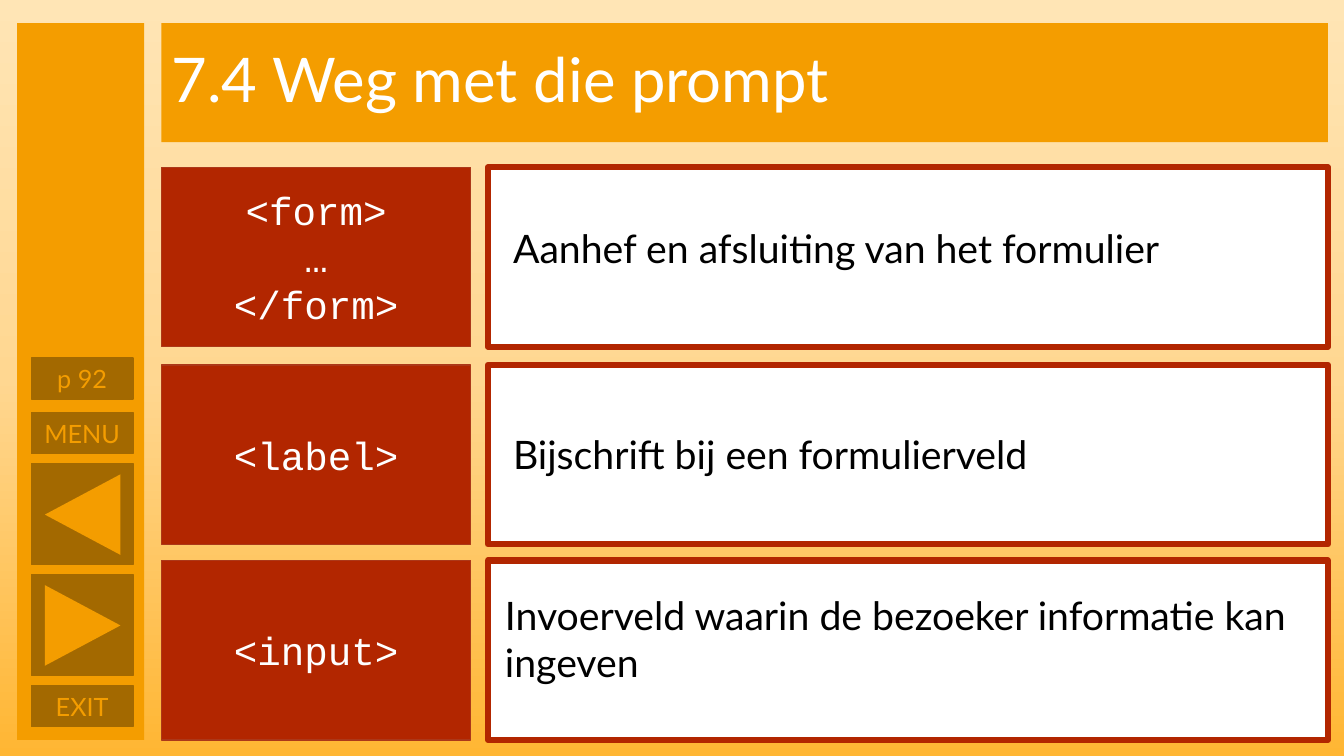
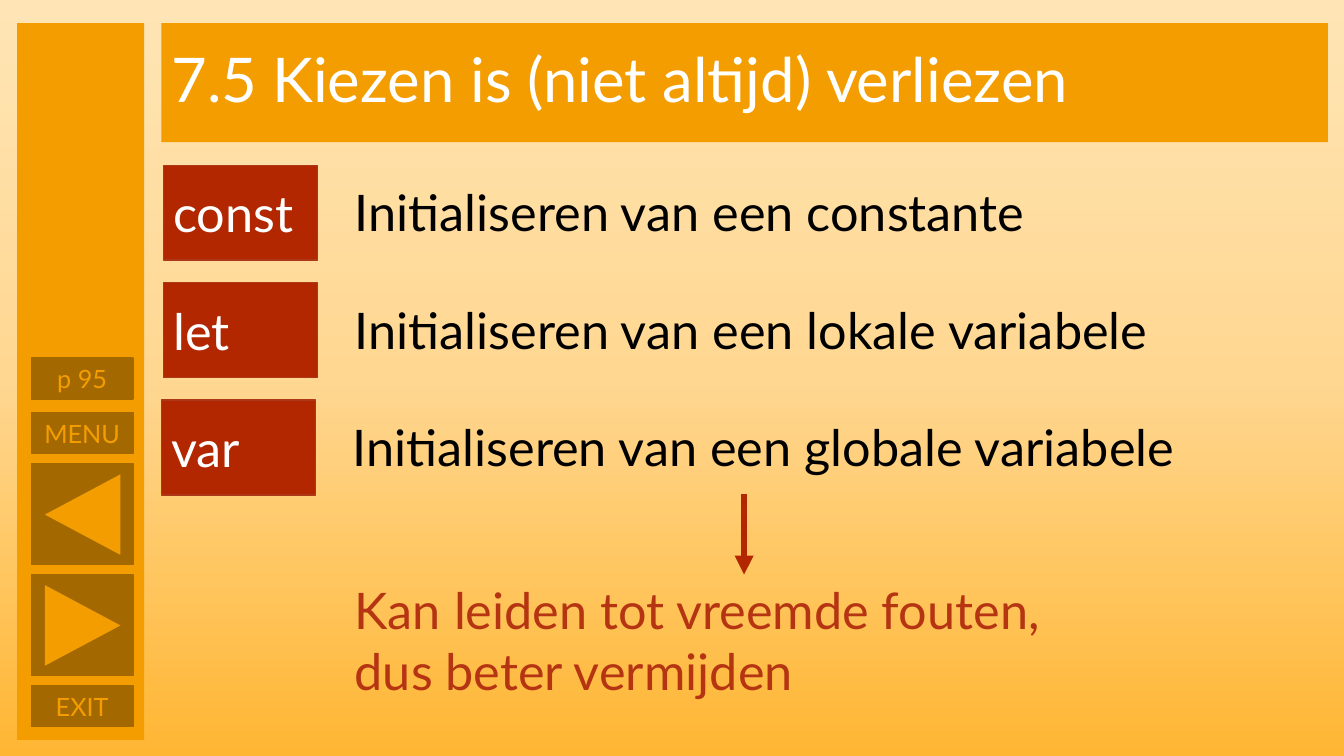
from copy import deepcopy
from pptx import Presentation
from pptx import util as u
from pptx.dml.color import RGBColor
from pptx.enum import shapes, text
from pptx.oxml.ns import qn
from lxml import etree

# Colours and fonts
ORANGE = RGBColor(0xF4, 0x9D, 0x00)
BROWN = RGBColor(0xA3, 0x69, 0x00)
RED = RGBColor(0xB2, 0x26, 0x00)
EDGE = RGBColor(0xAC, 0x38, 0x19)
WARN = RGBColor(0xB5, 0x35, 0x13)
WHITE = RGBColor(0xFF, 0xFF, 0xFF)
BLACK = RGBColor(0x00, 0x00, 0x00)
SKY = [(0, RGBColor(0xFF, 0xE5, 0xB5)), (0.5, RGBColor(0xFF, 0xD7, 0x91)),
       (1, RGBColor(0xFF, 0xB6, 0x33))]
SANS, MONO = "Lato", "Courier New"
RECT = shapes.MSO_SHAPE.RECTANGLE
TRI = shapes.MSO_SHAPE.ISOSCELES_TRIANGLE
LEFT, MID = text.PP_ALIGN.LEFT, text.PP_ALIGN.CENTER

# Grid: square cells, ten to the inch
CELL = u.Inches(0.1)
COL, TOP = 16, 2.3      # left edge of the content, top edge of the bands
WIDE = 115.7            # width of the content


def box(slide, kind, at, fill, line=None, width=1):
    shape = slide.shapes.add_shape(kind, *[round(n * CELL) for n in at])
    shape.shadow.inherit = False
    shape.fill.solid()
    shape.fill.fore_color.rgb = fill
    if line is None:
        shape.line.fill.background()
    else:
        shape.line.color.rgb = line
        shape.line.width = u.Pt(width)
    return shape


def write(shape, paras, size, color, font=SANS, align=LEFT,
          anchor=text.MSO_ANCHOR.MIDDLE):
    frame = shape.text_frame
    frame.word_wrap = True
    frame.vertical_anchor = anchor
    for i, words in enumerate(paras):
        para = frame.add_paragraph() if i else frame.paragraphs[0]
        para.alignment = align
        for j, part in enumerate(words.split("\n")):
            if j:
                para.add_line_break()
            run = para.add_run()
            run.text = part
            run.font.size = u.Pt(size)
            run.font.name = font
            run.font.color.rgb = color


deck = Presentation()
deck.slide_width, deck.slide_height = u.Inches(13.33), u.Inches(7.5)

# Shared gradient background
back = deck.slide_master.background.fill
back.gradient()
back.gradient_angle = 270
stops = deck.slide_master.element.cSld.find(".//" + qn("a:gsLst"))
stops.insert(1, deepcopy(stops[0]))
for stop, (pos, color) in zip(back.gradient_stops, SKY):
    stop.position = pos
    stop.color.rgb = color

# Title band and side bar of every slide
pages = []
for title, page in [("7.4\tWeg met die prompt", "p 92"),
                    ("7.5\tKiezen is (niet altijd) verliezen", "p 95")]:
    slide = deck.slides.add_slide(deck.slide_layouts[5])
    pages.append(slide)
    band = slide.shapes.title
    band.left, band.top, band.width, band.height = [
        round(n * CELL) for n in (COL, TOP, WIDE, 11.8)]
    band.fill.solid()
    band.fill.fore_color.rgb = ORANGE
    write(band, [title], 44, WHITE)
    band.text_frame.paragraphs[0].line_spacing = 0.9

    box(slide, RECT, (1.7, TOP, 12.6, 71.1), ORANGE)
    for label, y in [(page, 35.5), ("MENU", 40.9), ("EXIT", 68)]:
        key = box(slide, RECT, (3.1, y, 10.1, 4.1), BROWN, BROWN)
        write(key, [label], 18, ORANGE, align=MID)
    for turn, y in [(270, 46), (90, 57)]:
        box(slide, RECT, (3.1, y, 10.1, 10), BROWN, BROWN)
        tip = box(slide, TRI, (4.2, y + 1.3, 8, 7.5), ORANGE)
        tip.rotation = turn

# Texts beside the tags and keywords: slide, place, words, size, colour
form, keys = pages
notes = [
    (form, (49.9, 21.8, 81.8, 5.7), "Aanhef en afsluiting van het formulier", 28, BLACK),
    (form, (49.9, 42.2, 81.8, 5.7), "Bijschrift bij een formulierveld", 28, BLACK),
    (form, (49.1, 58.2, 81.8, 10.4),
     "Invoerveld waarin de bezoeker informatie kan ingeven", 28, BLACK),
    (keys, (34.2, 57, 98, 13.1),
     "Kan leiden tot vreemde fouten,\ndus beter vermijden", 36, WARN),
]

# Form tags with their panels
for tag, y in [(["<form>", "…", "</form>"], 16.6),
               (["<label>"], 36.2), (["<input>"], 55.6)]:
    cell = box(form, RECT, (COL, y, 30.7, 17.8), RED, EDGE)
    write(cell, tag, 28, WHITE, MONO, MID)
    box(form, RECT, (48.4, y, 83.3, 17.8), WHITE, RED, 4.5)

# Keywords, on equal rows
for i, (word, x, kind) in enumerate([("const", 16.2, "constante"),
                                     ("let", 16.2, "lokale variabele"),
                                     ("var", COL, "globale variabele")]):
    y = 16.4 + i * 11.65
    cell = box(keys, RECT, (x, y, 15.3, 9.4), RED, EDGE)
    write(cell, [word], 36, WHITE)
    notes.append((keys, (x + 18, y + 1.1, 98, 7.1),
                  "Initialiseren van een " + kind, 36, BLACK))

for slide, at, words, size, color in notes:
    note = slide.shapes.add_textbox(*[round(n * CELL) for n in at])
    write(note, [words], size, color, anchor=text.MSO_ANCHOR.TOP)
    note.text_frame.auto_size = text.MSO_AUTO_SIZE.SHAPE_TO_FIT_TEXT

# Arrow from the last keyword to the warning
arrow = keys.shapes.add_connector(
    shapes.MSO_CONNECTOR.STRAIGHT,
    *[round(n * CELL) for n in (73.8, 49, 73.8, 57)])
arrow.line.color.rgb = RED
arrow.line.width = u.Pt(4.5)
etree.SubElement(arrow.line._get_or_add_ln(), qn("a:tailEnd"), type="triangle")
etree.SubElement(arrow._element.spPr, qn("a:effectLst"))

deck.save("out.pptx")
